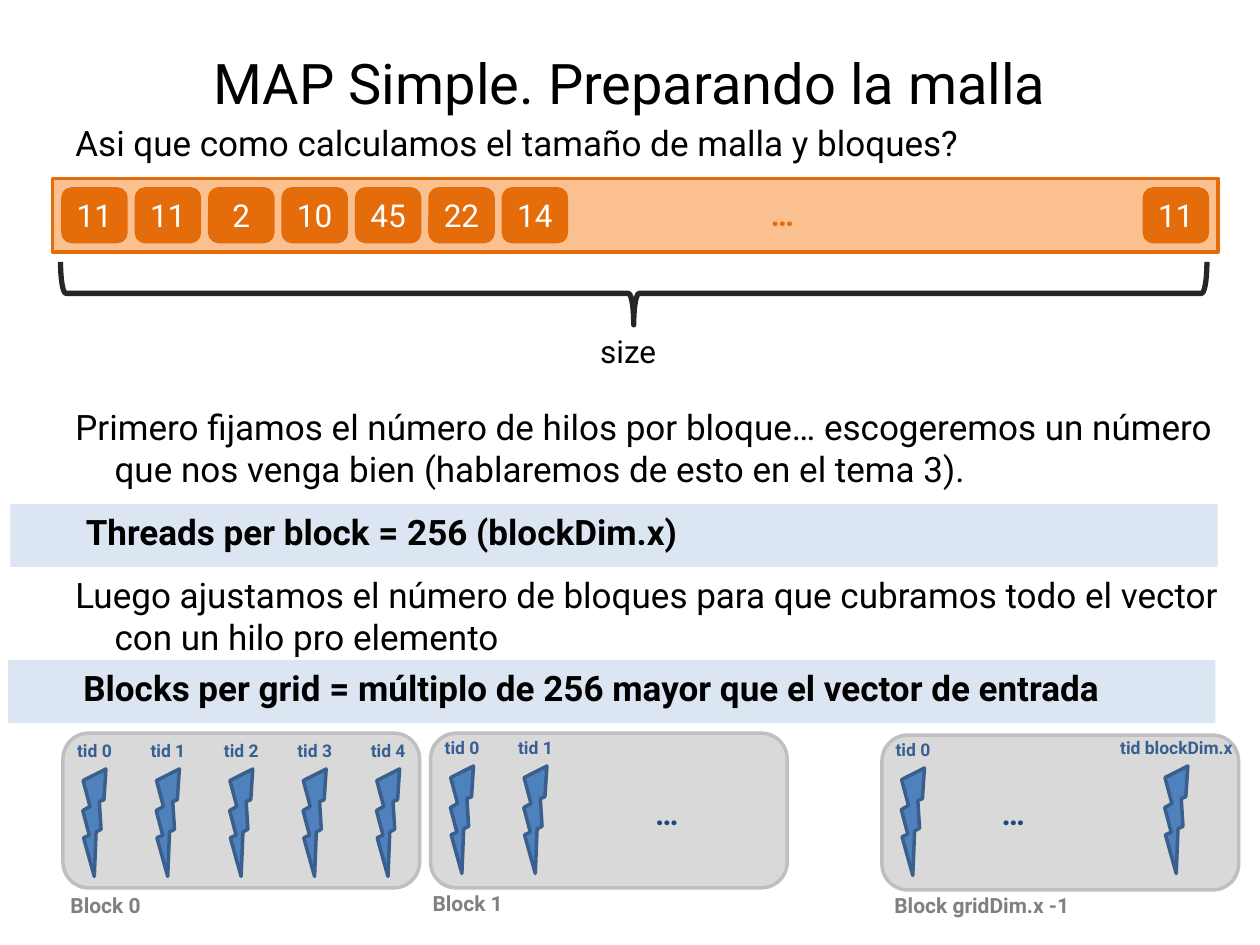
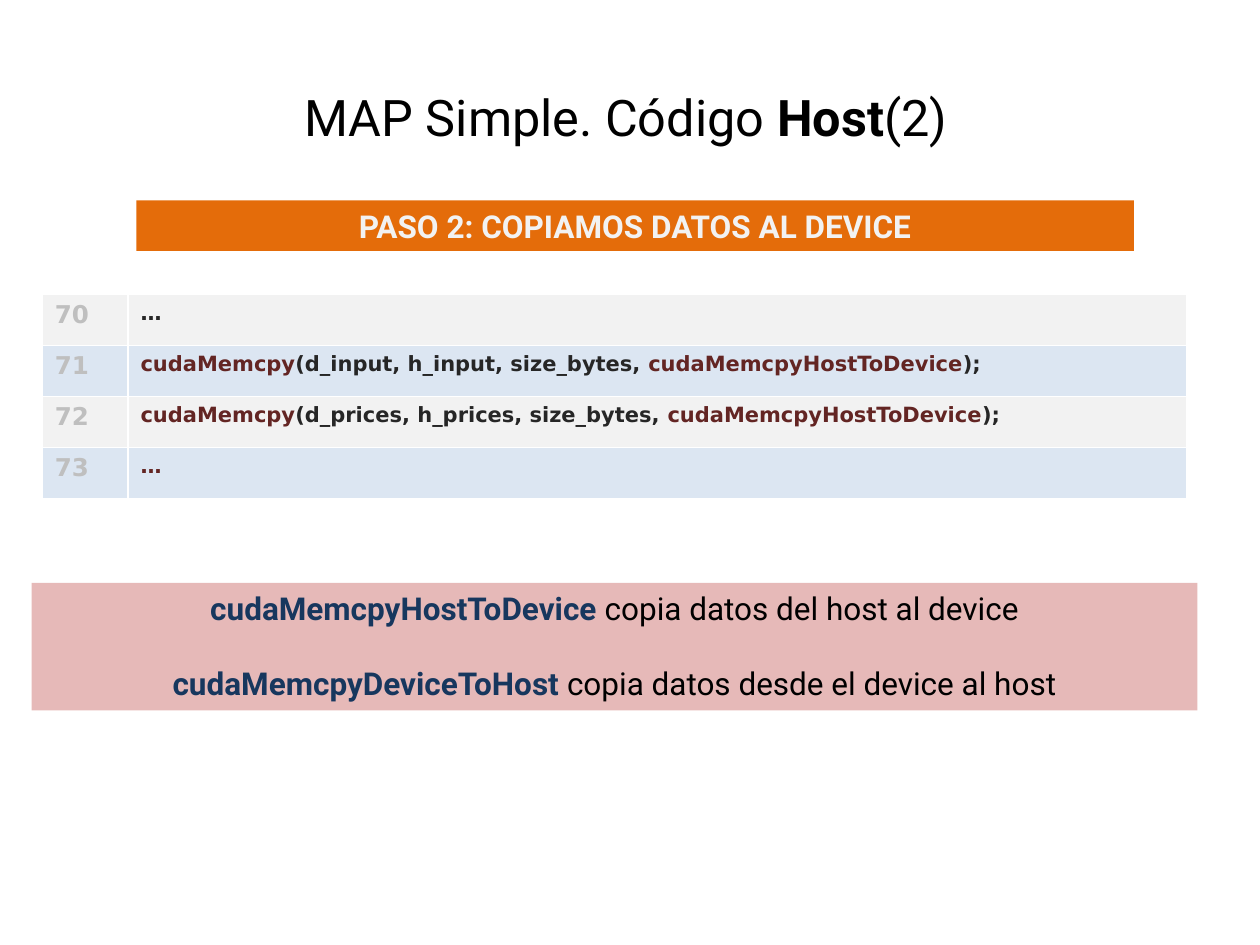
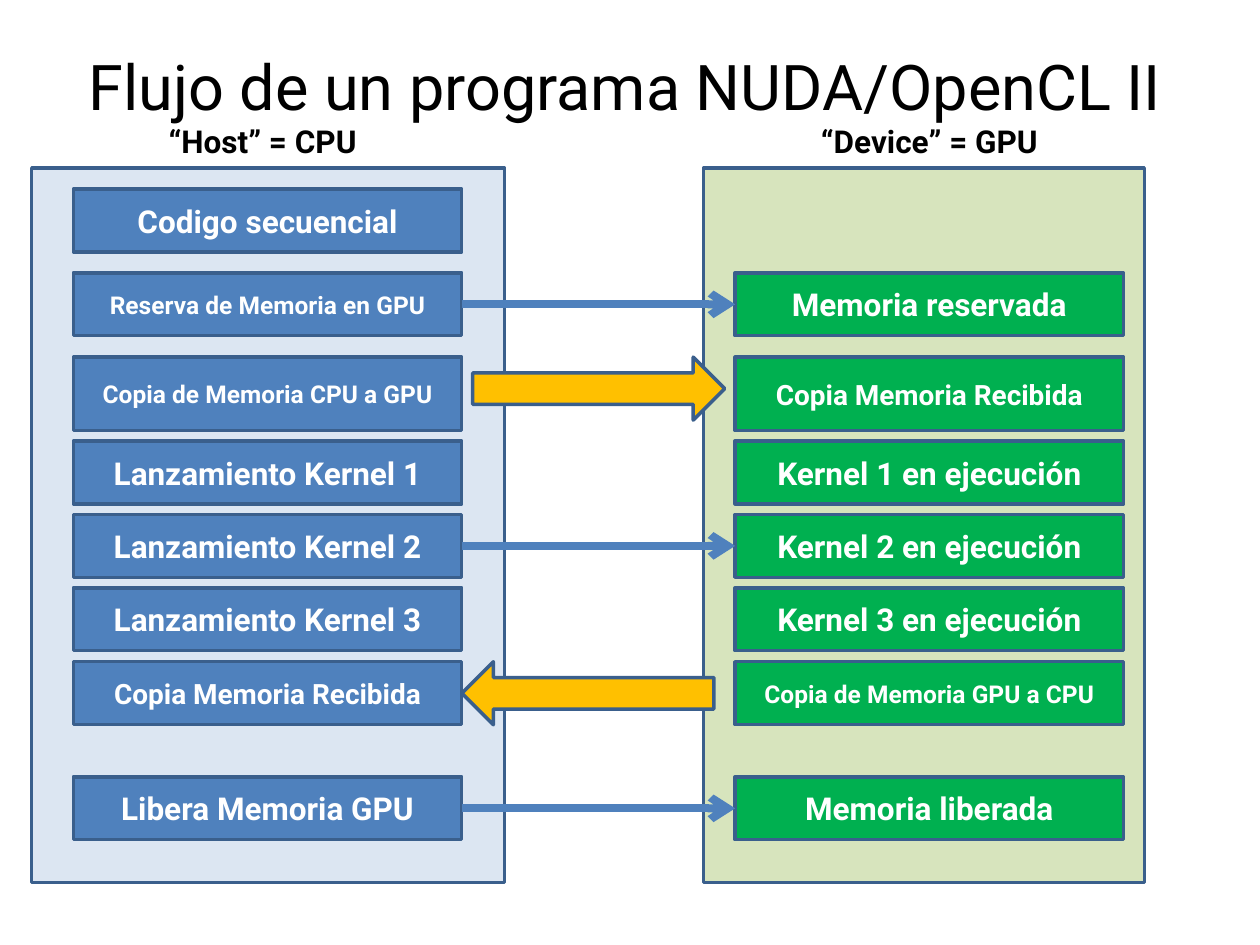
"""Build three slides about the simple MAP pattern and the NUDA/OpenCL program flow."""
from lxml import etree
from pptx import Presentation
from pptx.dml.color import RGBColor
from pptx.enum.shapes import MSO_CONNECTOR, MSO_SHAPE
from pptx.enum.text import MSO_ANCHOR, MSO_AUTO_SIZE, PP_ALIGN
from pptx.oxml.ns import qn
from pptx.util import Cm, Pt

RECTANGLE = MSO_SHAPE.RECTANGLE
ROUNDED = MSO_SHAPE.ROUNDED_RECTANGLE
BOLT = MSO_SHAPE.LIGHTNING_BOLT
BRACE = MSO_SHAPE.RIGHT_BRACE
ARROW = MSO_SHAPE.RIGHT_ARROW
STRAIGHT = MSO_CONNECTOR.STRAIGHT
LEFT, CENTER = PP_ALIGN.LEFT, PP_ALIGN.CENTER
TOP, MIDDLE = MSO_ANCHOR.TOP, MSO_ANCHOR.MIDDLE
NO_AUTOFIT = MSO_AUTO_SIZE.NONE

FONT = "Roboto"
CODE_FONT = "DejaVu Sans"

BLACK = RGBColor(0x00, 0x00, 0x00)
WHITE = RGBColor(0xFF, 0xFF, 0xFF)
INK = RGBColor(0x26, 0x26, 0x26)
GRAY = RGBColor(0x80, 0x80, 0x80)
SILVER = RGBColor(0xBF, 0xBF, 0xBF)
LIGHT_GRAY = RGBColor(0xD9, 0xD9, 0xD9)
PALE_GRAY = RGBColor(0xF2, 0xF2, 0xF2)
BLUE = RGBColor(0x4F, 0x81, 0xBD)
BLUE_EDGE = RGBColor(0x3A, 0x5F, 0x8C)
LABEL_BLUE = RGBColor(0x37, 0x60, 0x92)
DEEP_BLUE = RGBColor(0x1F, 0x49, 0x7D)
NAVY = RGBColor(0x17, 0x37, 0x5E)
PALE_BLUE = RGBColor(0xDC, 0xE6, 0xF2)
ORANGE = RGBColor(0xE4, 0x6C, 0x0A)
PALE_ORANGE = RGBColor(0xFA, 0xC0, 0x90)
GOLD = RGBColor(0xFF, 0xC0, 0x00)
GREEN = RGBColor(0x00, 0xB0, 0x50)
PALE_GREEN = RGBColor(0xD7, 0xE4, 0xBD)
PINK = RGBColor(0xE6, 0xB9, 0xB8)
MAROON = RGBColor(0x63, 0x25, 0x23)

CELL_STEP = 1.48
BLOCK_WIDTH, BLOCK_HEIGHT = 7.19, 3.12
BOLT_WIDTH, BOLT_HEIGHT = 0.89, 2.11
STEP_WIDTH, STEP_HEIGHT = 7.83, 1.27
HOST_LEFT, DEVICE_LEFT = 1.48, 14.82


def format_run(run, size, color, bold=False, font=FONT):
    """Apply font, size, colour and weight to a run."""
    run.font.name = font
    run.font.size = Pt(size)
    run.font.bold = bold
    run.font.color.rgb = color


def write_runs(paragraph, pieces, size, font=FONT):
    """Write (text, colour, bold) pieces into a paragraph."""
    for text, color, bold in pieces:
        run = paragraph.add_run()
        run.text = text
        format_run(run, size, color, bold, font)


def set_text(shape, text, size, color=BLACK, bold=False, align=CENTER, anchor=TOP):
    """Write one uniformly formatted paragraph into a shape."""
    frame = shape.text_frame
    frame.text = text
    frame.word_wrap = True
    frame.vertical_anchor = anchor
    paragraph = frame.paragraphs[0]
    paragraph.alignment = align
    format_run(paragraph.runs[0], size, color, bold)


def set_hanging_text(shape, text, bold=False):
    """Write a paragraph with a hanging indent into a shape."""
    set_text(shape, text, 20, bold=bold, align=LEFT)
    properties = shape.text_frame.paragraphs[0]._p.get_or_add_pPr()
    properties.set("marL", str(Cm(2.06)))
    properties.set("indent", str(Cm(-0.79)))


def add_box(slide, kind, left, top, width, height, fill=None, line=None, line_width=2):
    """Add a flat preset shape."""
    shape = slide.shapes.add_shape(kind, Cm(left), Cm(top), Cm(width), Cm(height))
    shape.shadow.inherit = False
    if fill is None:
        shape.fill.background()
    else:
        shape.fill.solid()
        shape.fill.fore_color.rgb = fill
    if line is None:
        shape.line.fill.background()
    else:
        shape.line.color.rgb = line
        shape.line.width = Pt(line_width)
    return shape


def add_text_box(slide, left, top, width, height):
    """Add an empty text box."""
    return slide.shapes.add_textbox(Cm(left), Cm(top), Cm(width), Cm(height))


def add_label(slide, text, left, top, width, height, size, **style):
    """Add a text box with one formatted paragraph."""
    set_text(add_text_box(slide, left, top, width, height), text, size, **style)


def add_titled_slide(presentation, pieces, size, left, top, width, height):
    """Add a slide and fill its title placeholder."""
    slide = presentation.slides.add_slide(presentation.slide_layouts[5])
    title = slide.shapes.title
    title.left, title.top = Cm(left), Cm(top)
    title.width, title.height = Cm(width), Cm(height)
    frame = title.text_frame
    frame.auto_size = NO_AUTOFIT
    frame.vertical_anchor = MIDDLE
    frame.paragraphs[0].alignment = CENTER
    write_runs(frame.paragraphs[0], pieces, size)
    return slide


def add_vector_cell(slide, value, left):
    """Add one element of the input vector."""
    cell = add_box(slide, ROUNDED, left, 3.81, 1.27, 1.06, ORANGE, ORANGE)
    set_text(cell, value, 18, WHITE, anchor=MIDDLE)
    cell.text_frame.word_wrap = False


def add_thread(slide, name, left, top, label_width=2.11):
    """Add a thread bolt with its name above."""
    label_left = left + (BOLT_WIDTH - label_width) / 2 + 0.05
    add_label(slide, name, label_left, top, label_width, 0.68, 10,
              color=LABEL_BLUE, bold=True)
    bolt = add_box(slide, BOLT, left, top + 0.67, BOLT_WIDTH, BOLT_HEIGHT, BLUE, BLUE_EDGE)
    bolt.rotation = 20.5


def add_block(slide, name, left, top, name_left, name_top):
    """Add a thread block with its name below."""
    add_box(slide, ROUNDED, left, top, BLOCK_WIDTH, BLOCK_HEIGHT, LIGHT_GRAY, SILVER)
    add_label(slide, name, name_left, name_top, 4.66, 0.77, 12,
              color=GRAY, bold=True, align=LEFT)


def add_ellipsis(slide, left, top, color):
    """Add the dots that stand for the omitted elements."""
    add_label(slide, "…", left, top, 3.6, 1.06, 18, color=color, bold=True)


def add_code_table(slide, first_number, lines, left, top):
    """Add a numbered code listing with alternating row fills."""
    number_width, code_width, row_height = 1.73, 21.34, 1.03
    table = slide.shapes.add_table(
        len(lines), 2, Cm(left), Cm(top),
        Cm(number_width + code_width), Cm(row_height * len(lines))).table
    table.columns[0].width, table.columns[1].width = Cm(number_width), Cm(code_width)
    for index, pieces in enumerate(lines):
        number = [(str(first_number + index), SILVER, True)]
        for column, (content, size) in enumerate([(number, 14), (pieces, 12)]):
            cell = table.cell(index, column)
            cell.fill.solid()
            cell.fill.fore_color.rgb = PALE_BLUE if index % 2 else PALE_GRAY
            write_runs(cell.text_frame.paragraphs[0], content, size, CODE_FONT)


def memcpy_line(arguments):
    """Return the coloured pieces of one cudaMemcpy call."""
    return [("cudaMemcpy", MAROON, True), (f"({arguments}, size_bytes, ", INK, True),
            ("cudaMemcpyHostToDevice", MAROON, True), (");", INK, True)]


def add_step(slide, text, size, left, top, height, fill):
    """Add one step of the program flow."""
    step = add_box(slide, RECTANGLE, left, top, STEP_WIDTH, height, fill, BLUE_EDGE)
    set_text(step, text, size, WHITE, bold=True, anchor=MIDDLE)
    return step


def connect_steps(slide, host_step, device_step):
    """Join a host step to its device step with an arrow."""
    connector = slide.shapes.add_connector(STRAIGHT, 0, 0, 0, 0)
    connector.begin_connect(host_step, 3)
    connector.end_connect(device_step, 1)
    connector.line.color.rgb = BLUE
    connector.line.width = Pt(4.5)
    properties = connector._element.spPr
    etree.SubElement(properties.find(qn("a:ln")), qn("a:tailEnd"), type="arrow")
    etree.SubElement(properties, qn("a:effectLst"))


def add_transfer(slide, left, top, rotation):
    """Add a thick arrow for a memory copy."""
    arrow = add_box(slide, ARROW, left, top, 5.08, 1.27, GOLD, BLUE_EDGE)
    arrow.rotation = rotation


def build_grid_slide(presentation):
    """Build the slide on grid and block sizes."""
    slide = add_titled_slide(presentation, [("MAP Simple. Preparando la malla", BLACK, False)],
                             32, 1.27, 0.76, 22.86, 1.78)
    for text, top in [
        ("Asi que como calculamos el tamaño de malla y bloques?", 2.33),
        ("Primero fijamos el número de hilos por bloque… escogeremos un número "
         "que nos venga bien (hablaremos de esto en el tema 3).", 8.04),
        ("Luego ajustamos el número de bloques para que cubramos todo el vector "
         "con un hilo pro elemento", 11.43),
    ]:
        set_hanging_text(add_text_box(slide, 0, top, 25.4, 2.1), text)
    for text, left, top in [
        ("Threads per block = 256 (blockDim.x)", 0.21, 10.16),
        ("Blocks per grid = múltiplo de 256 mayor que el vector de entrada", 0.16, 13.31),
    ]:
        band = add_box(slide, RECTANGLE, left, top, 24.34, 1.27, PALE_BLUE)
        set_hanging_text(band, text, bold=True)

    add_box(slide, RECTANGLE, 1.06, 3.6, 23.5, 1.48, PALE_ORANGE, ORANGE)
    for index, value in enumerate(["11", "11", "2", "10", "45", "22", "14"]):
        add_vector_cell(slide, value, 1.27 + index * CELL_STEP)
    add_vector_cell(slide, "11", 23.07)
    add_ellipsis(slide, 13.97, 3.81, ORANGE)
    brace = add_box(slide, BRACE, 12.14, -5.64, 1.27, 23.11, line=INK, line_width=3)
    brace.rotation = 90
    add_label(slide, "size", 11.85, 6.56, 2.12, 1.06, 18, align=LEFT)

    add_block(slide, "Block 0", 1.27, 14.78, 1.17, 17.87)
    add_block(slide, "Block 1", 8.68, 14.78, 8.47, 17.83)
    add_block(slide, "Block gridDim.x -1", 17.78, 14.82, 17.78, 17.87)
    for index in range(5):
        add_thread(slide, f"tid {index}", 1.41 + index * CELL_STEP, 14.8)
    for index in range(2):
        add_thread(slide, f"tid {index}", 8.82 + index * CELL_STEP, 14.74)
    add_thread(slide, "tid 0", 17.91, 14.78)
    add_thread(slide, "tid blockDim.x", 23.22, 14.74, 3.18)
    for left in (11.64, 18.63):
        add_ellipsis(slide, left, 15.88, DEEP_BLUE)


def build_host_code_slide(presentation):
    """Build the slide with the host code that copies data."""
    slide = add_titled_slide(
        presentation,
        [("MAP Simple. Código ", BLACK, False), ("Host", BLACK, True), ("(2)", BLACK, False)],
        28.8, 1.19, 1.78, 22.86, 1.14)
    heading = add_box(slide, RECTANGLE, 2.75, 4.04, 20.11, 1.02, ORANGE)
    set_text(heading, "PASO 2: COPIAMOS DATOS AL DEVICE", 18, PALE_GRAY, bold=True)
    add_code_table(slide, 70, [
        [("…", INK, True)],
        memcpy_line("d_input, h_input"),
        memcpy_line("d_prices, h_prices"),
        [("…", MAROON, True)],
    ], 0.85, 5.93)

    frame = add_box(slide, RECTANGLE, 0.64, 11.75, 23.5, 2.57, PINK).text_frame
    frame.word_wrap = True
    frame.vertical_anchor = TOP
    first, second = frame.paragraphs[0], frame.add_paragraph()
    second.space_before = Pt(21)
    for paragraph, constant, meaning in [
        (first, "cudaMemcpyHostToDevice ", "copia datos del host al device"),
        (second, "cudaMemcpyDeviceToHost ", "copia datos desde el device al host"),
    ]:
        paragraph.alignment = CENTER
        write_runs(paragraph, [(constant, NAVY, True), (meaning, BLACK, False)], 18)


def build_flow_slide(presentation):
    """Build the slide with the flow between host and device."""
    slide = add_titled_slide(presentation,
                             [("Flujo de un programa NUDA/OpenCL II", BLACK, False)],
                             36, 0.64, 0.66, 23.92, 2.12)
    add_box(slide, RECTANGLE, 0.64, 3.39, 9.53, 14.4, PALE_BLUE, BLUE_EDGE)
    add_box(slide, RECTANGLE, 14.18, 3.39, 8.89, 14.4, PALE_GREEN, BLUE_EDGE)
    add_label(slide, "“Host” = CPU", 2.12, 2.33, 6.35, 1.03, 18, bold=True)
    add_label(slide, "“Device” = GPU", 15.24, 2.33, 6.99, 1.03, 18, bold=True)

    add_step(slide, "Codigo secuencial", 18, HOST_LEFT, 3.81, STEP_HEIGHT, BLUE)
    for top, height, host, host_size, device, device_size, linked in [
        (5.5, STEP_HEIGHT, "Reserva de Memoria en GPU", 14, "Memoria reservada", 18, True),
        (7.2, 1.48, "Copia de Memoria CPU a GPU", 14, "Copia Memoria Recibida", 16, False),
        (8.89, STEP_HEIGHT, "Lanzamiento Kernel 1", 18, "Kernel 1 en ejecución", 18, False),
        (10.37, STEP_HEIGHT, "Lanzamiento Kernel 2", 18, "Kernel 2 en ejecución", 18, True),
        (11.85, STEP_HEIGHT, "Lanzamiento Kernel 3", 18, "Kernel 3 en ejecución", 18, False),
        (13.34, STEP_HEIGHT, "Copia Memoria Recibida", 16, "Copia de Memoria GPU a CPU", 14,
         False),
        (15.66, STEP_HEIGHT, "Libera Memoria GPU", 18, "Memoria liberada", 18, True),
    ]:
        host_step = add_step(slide, host, host_size, HOST_LEFT, top, height, BLUE)
        device_step = add_step(slide, device, device_size, DEVICE_LEFT, top, height, GREEN)
        if linked:
            connect_steps(slide, host_step, device_step)
    add_transfer(slide, 9.53, 7.2, 0)
    add_transfer(slide, 9.31, 13.34, 180)


def main():
    """Build and save the presentation."""
    presentation = Presentation()
    presentation.slide_width, presentation.slide_height = Cm(25.4), Cm(19.05)
    build_grid_slide(presentation)
    build_host_code_slide(presentation)
    build_flow_slide(presentation)
    presentation.save("out.pptx")


if __name__ == "__main__":
    main()
